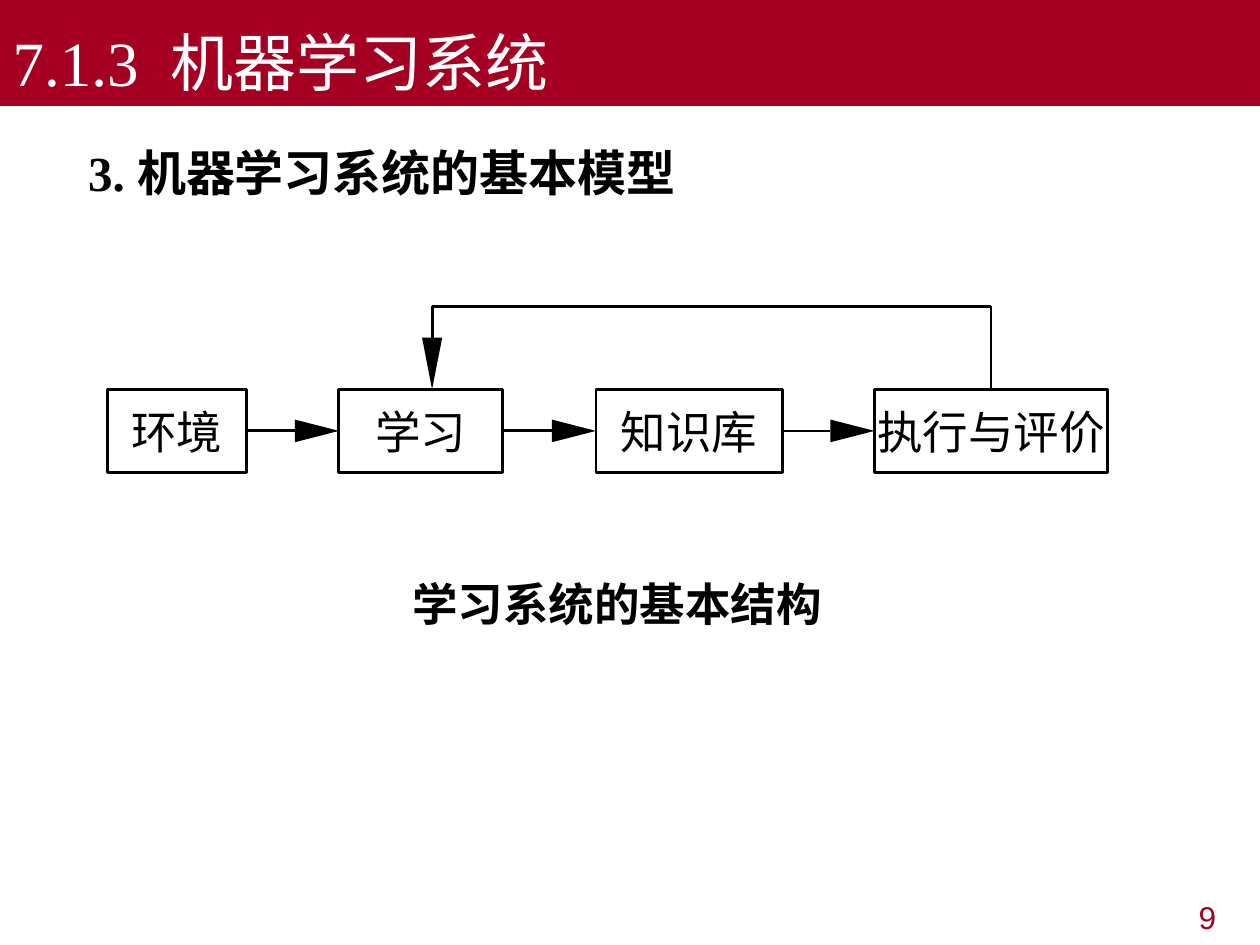
from pptx import Presentation
from pptx.util import Inches, Pt
from pptx.dml.color import RGBColor
from pptx.enum.shapes import MSO_SHAPE as Shape, MSO_CONNECTOR as Connector
from pptx.enum.text import PP_ALIGN as Align, MSO_ANCHOR as Anchor, MSO_AUTO_SIZE as AutoSize
from pptx.oxml.ns import qn
from lxml import etree

# Content
TITLE = "7.1.3  机器学习系统"
HEADING = "3. 机器学习系统的基本模型"
CAPTION = "学习系统的基本结构"
PAGE_NUMBER = "9"
STAGES = [  # label, left, width
    ("环境", 0.85, 1.11),
    ("学习", 2.69, 1.3),
    ("知识库", 4.73, 1.48),
    ("执行与评价", 6.94, 1.85),
]

COLORS = {"red": "A50021", "black": "000000", "white": "FFFFFF"}
SERIF, SANS, CJK = "Times New Roman", "Arial", "Noto Sans CJK SC"
STAGE_TOP, STAGE_HEIGHT = 3.09, 0.66
FLOW_Y = STAGE_TOP + STAGE_HEIGHT / 2
FEEDBACK_Y = 2.43
LINE_WIDTH = 1.62


def color(name):
    return RGBColor.from_string(COLORS[name])


def write(shape, text, size=26, font=CJK, fill="black", bold=False,
          align=Align.CENTER, anchor=Anchor.MIDDLE, inset=(0, 0), wrap=False):
    frame = shape.text_frame
    frame.auto_size = AutoSize.NONE
    frame.word_wrap = wrap
    frame.vertical_anchor = anchor
    frame.margin_left = frame.margin_right = Inches(inset[0])
    frame.margin_top = frame.margin_bottom = Inches(inset[1])
    para = frame.paragraphs[0]
    para.alignment = align
    para.space_before = Pt(0)
    para.line_spacing = 1.0
    span = para.add_run()
    span.text = text
    span.font.size = Pt(size)
    span.font.name = font
    span.font.bold = bold
    span.font.color.rgb = color(fill)
    east_asian = etree.SubElement(span.font._element, qn("a:ea"))
    east_asian.set("typeface", CJK)
    return para


def place(shape, left, top, width, height):
    shape.left, shape.top = Inches(left), Inches(top)
    shape.width, shape.height = Inches(width), Inches(height)


def add_text(slide, left, top, width, height, text, **style):
    box = slide.shapes.add_textbox(*map(Inches, (left, top, width, height)))
    write(box, text, **style)


def add_stage(slide, label, left, width):
    box = slide.shapes.add_shape(
        Shape.RECTANGLE, *map(Inches, (left, STAGE_TOP, width, STAGE_HEIGHT)))
    box.shadow.inherit = False
    box.fill.background()
    box.line.color.rgb = color("black")
    box.line.width = Pt(LINE_WIDTH)
    write(box, label)


def add_line(slide, start, end, width=LINE_WIDTH):
    line = slide.shapes.add_connector(Connector.STRAIGHT, *map(Inches, start + end))
    line.line.color.rgb = color("black")
    line.line.width = Pt(width)
    etree.SubElement(line._element.spPr, qn("a:effectLst"))


def add_head(slide, *points):
    (first, *rest) = [(Inches(x), Inches(y)) for x, y in points]
    builder = slide.shapes.build_freeform(*first, scale=1.0)
    builder.add_line_segments(rest, close=True)
    head = builder.convert_to_shape()
    head.shadow.inherit = False
    head.fill.solid()
    head.fill.fore_color.rgb = color("black")
    head.line.fill.background()


def main():
    deck = Presentation()
    deck.slide_width, deck.slide_height = Inches(10), Inches(7.5)
    slide = deck.slides.add_slide(deck.slide_layouts[1])
    title, body = slide.shapes.title, slide.placeholders[1]

    # Title band
    place(title, 0, 0, 10, 0.84)
    title.fill.solid()
    title.fill.fore_color.rgb = color("red")
    write(title, TITLE, size=36, font=SERIF, fill="white", align=Align.LEFT,
          anchor=Anchor.BOTTOM, inset=(0.1, 0.05), wrap=True)

    # Section heading
    place(body, 0.5, 1.08, 9.17, 6)
    heading = write(body, HEADING, size=28, font=SERIF, bold=True, align=Align.LEFT,
                    anchor=Anchor.TOP, inset=(0.1, 0.05), wrap=True)
    properties = heading._p.get_or_add_pPr()
    properties.set("marL", str(Inches(0.61)))
    properties.set("indent", str(Inches(-0.51)))
    etree.SubElement(properties, qn("a:buNone"))

    # Stages
    for label, left, width in STAGES:
        add_stage(slide, label, left, width)

    # Arrows between neighbouring stages
    for (_, left, width), (_, tip, _) in zip(STAGES, STAGES[1:]):
        base = tip - 0.35
        thickness = 1.13 if tip == STAGES[-1][1] else LINE_WIDTH
        add_line(slide, (left + width, FLOW_Y), (base, FLOW_Y), thickness)
        add_head(slide, (base, FLOW_Y + 0.09), (tip, FLOW_Y), (base, FLOW_Y - 0.09))

    # Feedback from the last stage to the learning stage
    end_x, start_x = (STAGES[i][1] + STAGES[i][2] / 2 for i in (1, 3))
    end_x += 0.09
    base = STAGE_TOP - 0.41
    route = [(start_x, STAGE_TOP), (start_x, FEEDBACK_Y),
             (end_x, FEEDBACK_Y), (end_x, base)]
    for start, end in zip(route, route[1:]):
        add_line(slide, start, end)
    add_head(slide, (end_x - 0.08, base), (end_x, STAGE_TOP), (end_x + 0.08, base))

    # Caption and page number
    add_text(slide, 3.27, 4.57, 3.26, 0.43, CAPTION, bold=True)
    add_text(slide, 7.58, 7.08, 2.17, 0.39, PAGE_NUMBER, size=18, font=SANS, fill="red",
             align=Align.RIGHT, anchor=Anchor.TOP, inset=(0.1, 0.05), wrap=True)

    deck.save("out.pptx")


if __name__ == "__main__":
    main()
